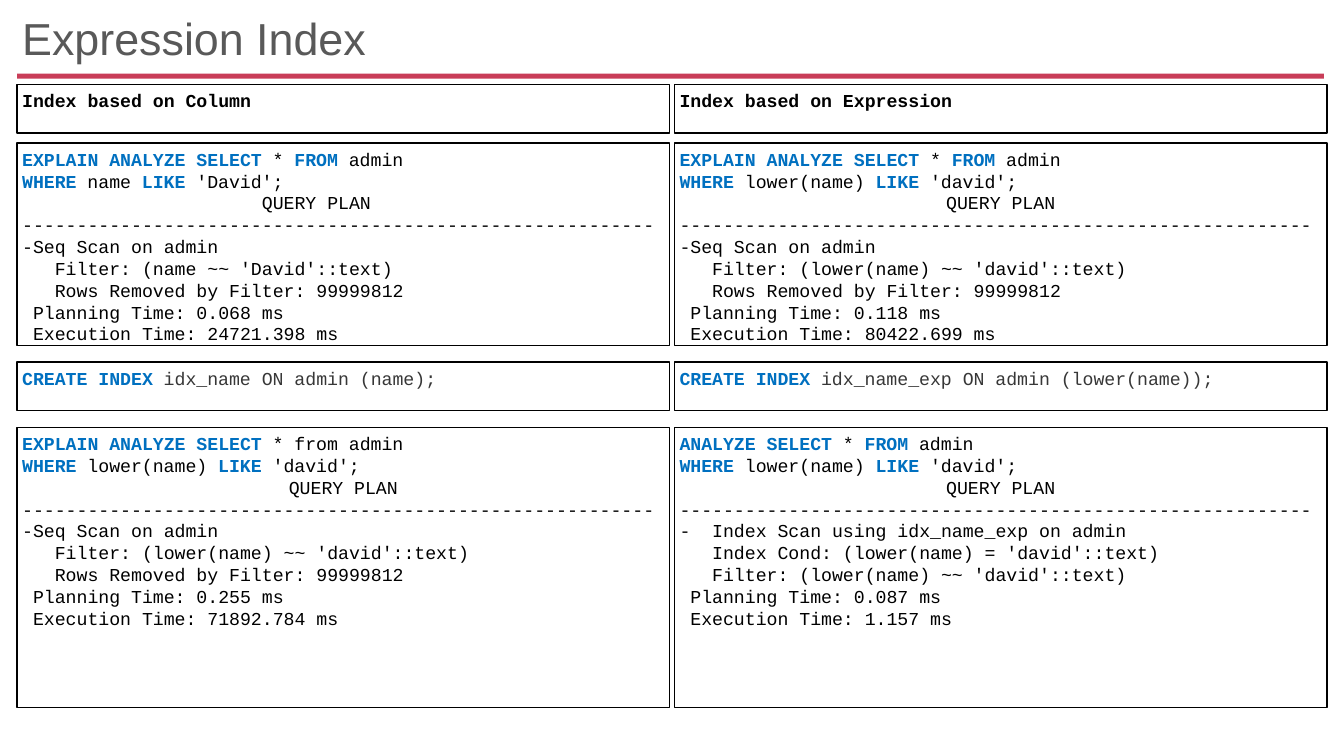
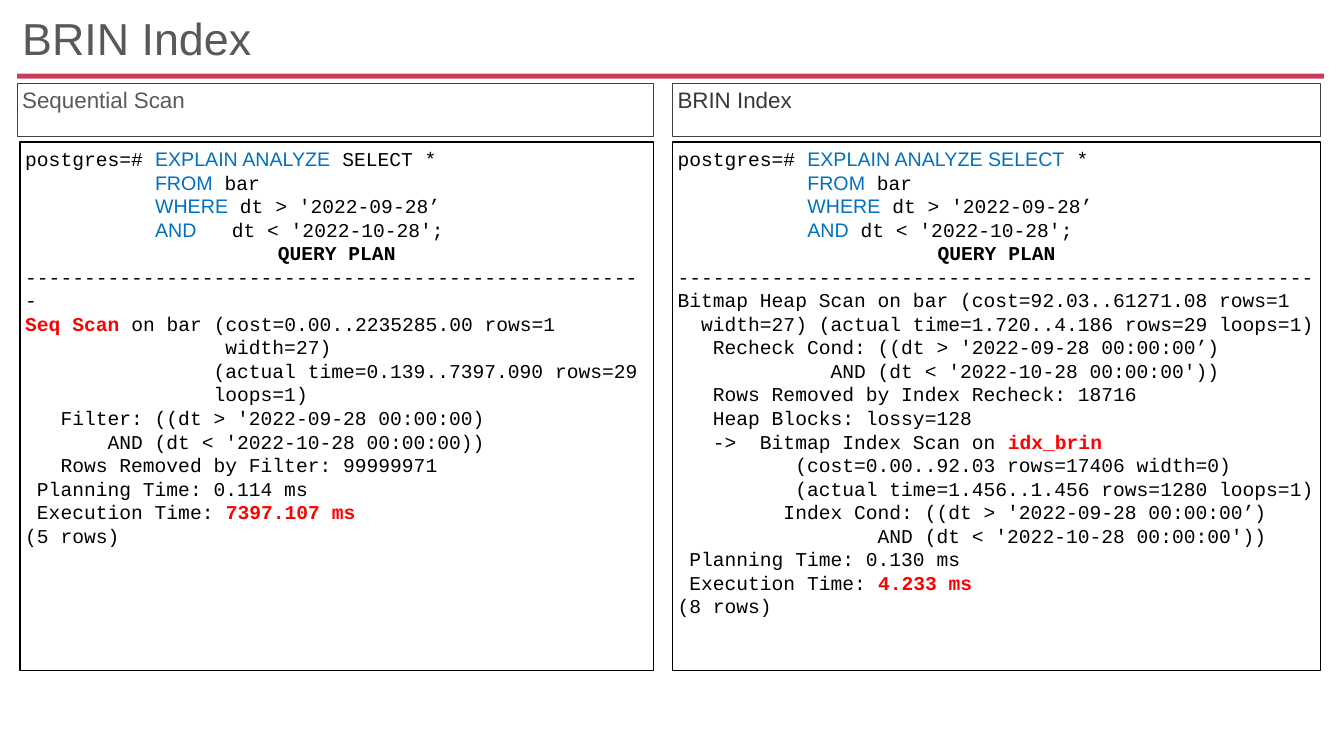
from lxml import etree
from pptx import Presentation
from pptx.dml.color import RGBColor
from pptx.enum.shapes import MSO_SHAPE
from pptx.enum.text import MSO_ANCHOR, MSO_AUTO_SIZE, PP_ALIGN
from pptx.oxml.ns import qn
from pptx.util import Inches, Pt

RECTANGLE = MSO_SHAPE.RECTANGLE
TOP, MIDDLE = MSO_ANCHOR.TOP, MSO_ANCHOR.MIDDLE
LEFT, CENTER = PP_ALIGN.LEFT, PP_ALIGN.CENTER
NO_AUTOFIT = MSO_AUTO_SIZE.NONE

COLORS = {
    "band": "C93D58", "title": "595959", "black": "000000", "dark": "373737",
    "keyword": "0070C0", "hot": "FF0000", "heading_line": "404040",
}
SANS, MONO = "Arial", "Courier New"
INSET = 0.05
LINE_RATIO = 1.2
TITLE_BOX = (0.17, 0.15, 12.96, 0.52)
BAND_BOX = (0.17, 0.73, 12.96, 0.05)

# Marked spans are written |k:keyword|, |h:hot value| or |b:bold text|.
# Each style gives font, colour (None keeps the base colour) and bold.
PLAIN_STYLES = {"h": (MONO, "hot", True), "b": (MONO, None, True)}
BOLD_KEYWORDS = {**PLAIN_STYLES, "k": (MONO, "keyword", True)}
SANS_KEYWORDS = {**PLAIN_STYLES, "k": (SANS, "keyword", False)}

PLAN_RULE = "-" * 59
LOWER_DAVID = "|k:WHERE| lower(name) |k:LIKE| 'david';"
SELECT_ADMIN = "|k:EXPLAIN ANALYZE SELECT| * |k:FROM| admin"
ROWS_REMOVED = "   Rows Removed by Filter: 99999812"

EXPRESSION_COLUMNS = [
    {
        "heading": ["|b:Index based on Column|"],
        "before": [
            SELECT_ADMIN,
            "|k:WHERE| name |k:LIKE| 'David';",
            "                      QUERY PLAN",
            PLAN_RULE + "Seq Scan on admin",
            "   Filter: (name ~~ 'David'::text)",
            ROWS_REMOVED,
            " Planning Time: 0.068 ms",
            " Execution Time: 24721.398 ms",
        ],
        "create": ["|k:CREATE INDEX| idx_name ON admin (name);"],
        "after": [
            "|k:EXPLAIN ANALYZE SELECT| * from admin",
            LOWER_DAVID,
            "QUERY PLAN",
            PLAN_RULE + "Seq Scan on admin",
            "   Filter: (lower(name) ~~ 'david'::text)",
            ROWS_REMOVED,
            " Planning Time: 0.255 ms",
            " Execution Time: 71892.784 ms",
        ],
    },
    {
        "heading": ["|b:Index based on Expression|"],
        "before": [
            SELECT_ADMIN,
            LOWER_DAVID,
            "QUERY PLAN",
            PLAN_RULE + "Seq Scan on admin",
            "   Filter: (lower(name) ~~ 'david'::text)",
            ROWS_REMOVED,
            " Planning Time: 0.118 ms",
            " Execution Time: 80422.699 ms",
        ],
        "create": ["|k:CREATE INDEX| idx_name_exp ON admin (lower(name));"],
        "after": [
            "|k:ANALYZE SELECT| * |k:FROM| admin",
            LOWER_DAVID,
            "QUERY PLAN",
            PLAN_RULE + "  Index Scan using idx_name_exp on admin",
            "   Index Cond: (lower(name) = 'david'::text)",
            "   Filter: (lower(name) ~~ 'david'::text)",
            " Planning Time: 0.087 ms",
            " Execution Time: 1.157 ms",
        ],
    },
]
# Part of a column: top, height, base colour
EXPRESSION_ROWS = {
    "heading": (0.84, 0.48, "black"),
    "before": (1.42, 2.01, "black"),
    "create": (3.59, 0.48, "dark"),
    "after": (4.24, 2.78, "black"),
}

BAR_SOURCE = [
    "           |k:FROM| bar",
    "           |k:WHERE| dt > '2022-09-28’",
]
SEQUENTIAL_PLAN = [
    "postgres=# |k:EXPLAIN ANALYZE| SELECT *",
    *BAR_SOURCE,
    "           |k:AND|   dt < '2022-10-28';",
    "|b:QUERY PLAN|",
    "-" * 53,
    "|h:Seq Scan| on bar (cost=0.00..2235285.00 rows=1",
    "                 width=27)",
    "                (actual time=0.139..7397.090 rows=29",
    "                loops=1)",
    "   Filter: ((dt > '2022-09-28 00:00:00)",
    "       AND (dt < '2022-10-28 00:00:00))",
    "   Rows Removed by Filter: 99999971",
    " Planning Time: 0.114 ms",
    " Execution Time: |h:7397.107 ms|",
    "(5 rows)",
]
BRIN_PLAN = [
    "postgres=# |k:EXPLAIN ANALYZE SELECT| *",
    *BAR_SOURCE,
    "           |k:AND| dt < '2022-10-28';",
    "|b:QUERY PLAN|",
    "-" * 54 + "Bitmap Heap Scan on bar (cost=92.03..61271.08 rows=1",
    "  width=27) (actual time=1.720..4.186 rows=29 loops=1)",
    "   Recheck Cond: ((dt > '2022-09-28 00:00:00’)",
    "             AND (dt < '2022-10-28 00:00:00'))",
    "   Rows Removed by Index Recheck: 18716",
    "   Heap Blocks: lossy=128",
    "   ->  Bitmap Index Scan on |h:idx_brin|",
    "          (cost=0.00..92.03 rows=17406 width=0)",
    "          (actual time=1.456..1.456 rows=1280 loops=1)",
    "         Index Cond: ((dt > '2022-09-28 00:00:00’)",
    "                 AND (dt < '2022-10-28 00:00:00'))",
    " Planning Time: 0.130 ms",
    " Execution Time: |h:4.233 ms|",
    "(8 rows)",
]


def rgb(name):
    return RGBColor.from_string(COLORS[name])


def place(shape, box):
    shape.left, shape.top, shape.width, shape.height = map(Inches, box)


def prepare_frame(shape, anchor):
    frame = shape.text_frame
    frame.word_wrap = True
    frame.auto_size = NO_AUTOFIT
    frame.vertical_anchor = anchor
    frame.margin_left = frame.margin_right = Inches(INSET)
    frame.margin_top = frame.margin_bottom = Inches(INSET)
    return frame


def add_span(para, text, font_name, size, color, bold=False):
    span = para.add_run()
    span.text = text
    span.font.name = font_name
    span.font.size = Pt(size)
    span.font.bold = bold
    span.font.color.rgb = rgb(color)


def set_outline(shape, color, width):
    shape.line.color.rgb = rgb(color)
    shape.line.width = Pt(width)


def fill_placeholder(shape, box, text, size, color, anchor):
    """Move a title or body placeholder and give it one unbulleted line."""
    place(shape, box)
    para = prepare_frame(shape, anchor).paragraphs[0]
    properties = para._p.get_or_add_pPr()
    properties.set("marL", "0")
    properties.set("indent", "0")
    etree.SubElement(properties, qn("a:buNone"))
    para.alignment = LEFT
    para.line_spacing = 0.9
    para.space_before = Pt(0)
    add_span(para, text, SANS, size, color)


def add_page(deck, layout_index, title):
    page = deck.slides.add_slide(deck.slide_layouts[layout_index])
    band = page.shapes.add_shape(RECTANGLE, *map(Inches, BAND_BOX))
    band.shadow.inherit = False
    band.fill.solid()
    band.fill.fore_color.rgb = rgb("band")
    band.line.fill.background()
    fill_placeholder(page.shapes.title, TITLE_BOX, title, 32, "title", MIDDLE)
    return page


def add_code_line(para, line, size, base_color, styles):
    para.alignment = CENTER if line.strip("|b:") == "QUERY PLAN" else LEFT
    para.line_spacing = Pt(size * LINE_RATIO)
    for index, piece in enumerate(line.split("|")):
        if index % 2:
            font_name, color, bold = styles[piece[0]]
            add_span(para, piece[2:], font_name, size, color or base_color, bold)
        elif piece:
            add_span(para, piece, MONO, size, base_color)


def add_code_panel(page, box, lines, size, styles, base_color="black"):
    panel = page.shapes.add_shape(RECTANGLE, *map(Inches, box))
    panel.shadow.inherit = False
    panel.fill.background()
    set_outline(panel, "black", 1)
    frame = prepare_frame(panel, TOP)
    for index, line in enumerate(lines):
        para = frame.add_paragraph() if index else frame.paragraphs[0]
        add_code_line(para, line, size, base_color, styles)


def add_expression_column(page, left, width, column):
    for part, (top, height, color) in EXPRESSION_ROWS.items():
        add_code_panel(page, (left, top, width, height), column[part],
                       13, BOLD_KEYWORDS, color)


def add_expression_page(deck):
    page = add_page(deck, 5, "Expression Index")
    for index, column in enumerate(EXPRESSION_COLUMNS):
        add_expression_column(page, 0.17 + index * 6.52, 6.47, column)


def add_scan_column(page, heading, box, text, color, plan, plan_left):
    """Put a heading at the top of the box and the plan below it."""
    left, top, width, height = box
    fill_placeholder(heading, (left, top, width, 0.52), text, 16, color, TOP)
    set_outline(heading, "heading_line", 0.75)
    plan_top = top + 0.58
    plan_box = (plan_left, plan_top, left + width - plan_left,
                top + height - plan_top)
    add_code_panel(page, plan_box, plan, 14, SANS_KEYWORDS)


def add_brin_page(deck):
    page = add_page(deck, 3, "BRIN Index")
    add_scan_column(page, page.placeholders[1], (0.17, 0.83, 6.31, 5.82),
                    "Sequential Scan", "title", SEQUENTIAL_PLAN, 0.2)
    add_scan_column(page, page.placeholders[2], (6.67, 0.83, 6.43, 5.82),
                    "BRIN Index", "dark", BRIN_PLAN, 6.67)


def main():
    deck = Presentation()
    deck.slide_width, deck.slide_height = Inches(13.33), Inches(7.5)
    add_expression_page(deck)
    add_brin_page(deck)
    deck.save("out.pptx")


if __name__ == "__main__":
    main()
